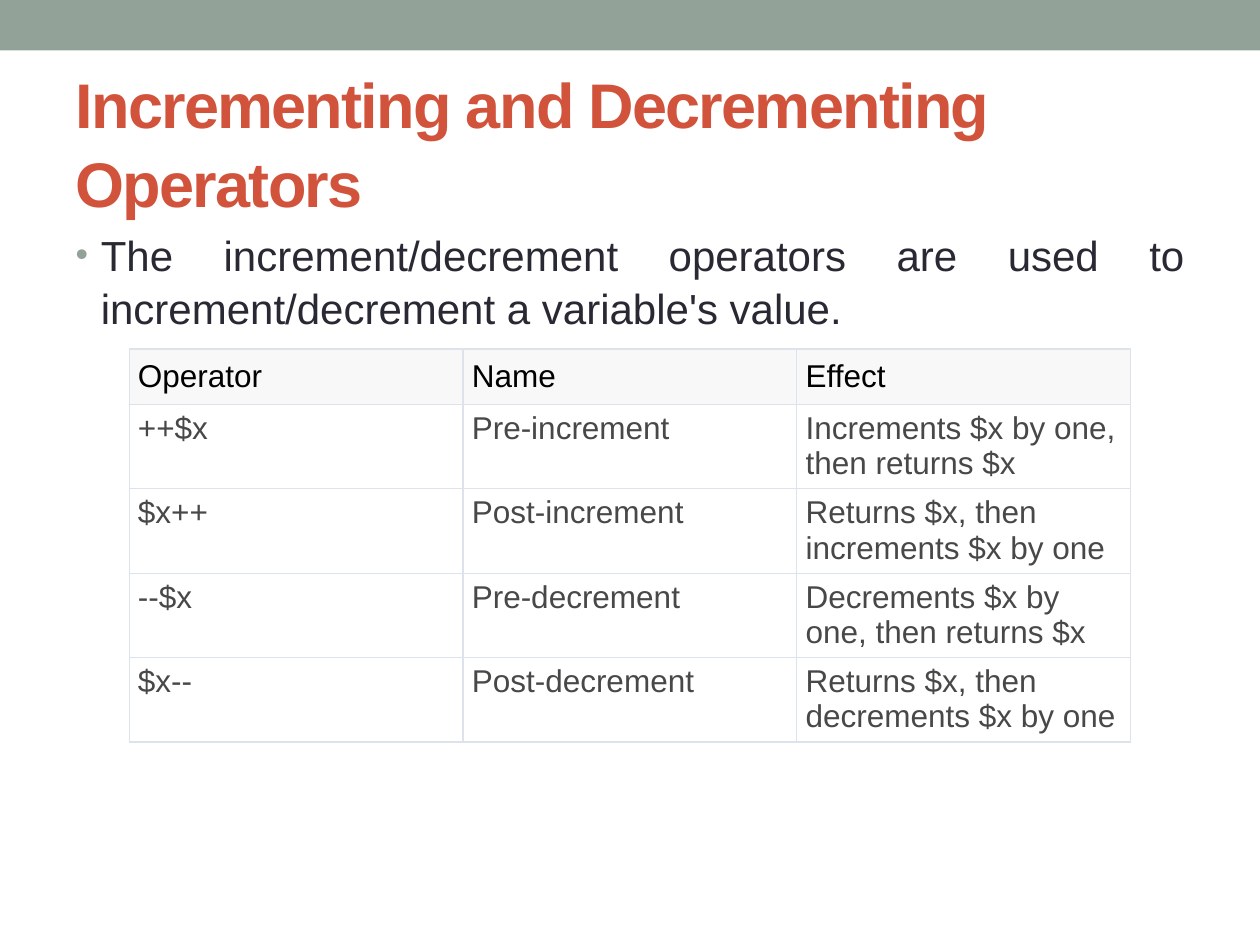
import pptx
import pptx.util
import pptx.dml.color
import pptx.enum.shapes
import pptx.enum.text
import pptx.oxml.ns
import lxml.etree

HEADING = "Incrementing and Decrementing Operators"
SUMMARY = "The increment/decrement operators are used to increment/decrement a variable's value."
OPERATORS = [
    ("Operator", "Name", "Effect"),
    ("++$x", "Pre-increment", "Increments $x by one, then returns $x"),
    ("$x++", "Post-increment", "Returns $x, then increments $x by one"),
    ("--$x", "Pre-decrement", "Decrements $x by one, then returns $x"),
    ("$x--", "Post-decrement", "Returns $x, then decrements $x by one"),
]
COLORS = {
    "band": "93A299", "heading": "D2533C", "summary": "292934",
    "header_text": "000000", "header_fill": "F8F8F8",
    "cell_text": "484848", "cell_fill": "FFFFFF", "border": "DCE3EB",
}
FONT = "Arial"
WIDTH, HEIGHT = 10, 7.5
MARGIN = WIDTH * 0.05
COLUMN_WIDTH = 2.65
HEADER_HEIGHT, ROW_HEIGHT = 0.44, 0.67
LINE_SPACING = 1.05

inches = pptx.util.Inches


def rgb(name):
    return pptx.dml.color.RGBColor.from_string(COLORS[name])


def place(part, left, top, width, height):
    part.left, part.top = inches(left), inches(top)
    part.width, part.height = inches(width), inches(height)


def style(paragraph, size, color, bold=False):
    font = paragraph.font
    font.name, font.size, font.bold = FONT, pptx.util.Pt(size), bold
    font.color.rgb = rgb(color)


def add_child(parent, tag, **attributes):
    child = lxml.etree.SubElement(parent, pptx.oxml.ns.qn(tag))
    for key, value in attributes.items():
        child.set(key, str(value))
    return child


def add_bullet(paragraph):
    properties = paragraph._p.get_or_add_pPr()
    properties.set("marL", str(inches(0.2)))
    properties.set("indent", str(-inches(0.2)))
    add_child(add_child(properties, "a:buClr"), "a:srgbClr", val=COLORS["band"])
    add_child(properties, "a:buSzPct", val=85000)
    add_child(properties, "a:buFont", typeface=FONT)
    add_child(properties, "a:buChar", char="•")


def add_borders(cell):
    properties = cell._tc.get_or_add_tcPr()
    for side in ("a:lnL", "a:lnR", "a:lnT", "a:lnB"):
        line = add_child(properties, side, w=pptx.util.Pt(0.75))
        add_child(add_child(line, "a:solidFill"), "a:srgbClr", val=COLORS["border"])


def fill_cell(cell, text, role, vertical_inset):
    cell.text = text
    style(cell.text_frame.paragraphs[0], 18, f"{role}_text")
    cell.margin_left = cell.margin_right = inches(0.07)
    cell.margin_top = cell.margin_bottom = inches(vertical_inset)
    add_borders(cell)
    cell.fill.solid()
    cell.fill.fore_color.rgb = rgb(f"{role}_fill")


def fill_placeholder(placeholder, text, box):
    place(placeholder, *box)
    frame = placeholder.text_frame
    frame.text = text
    frame.auto_size = pptx.enum.text.MSO_AUTO_SIZE.NONE
    paragraph = frame.paragraphs[0]
    paragraph.line_spacing = LINE_SPACING
    return paragraph


def main():
    deck = pptx.Presentation()
    deck.slide_width, deck.slide_height = inches(WIDTH), inches(HEIGHT)
    slide = deck.slides.add_slide(deck.slide_layouts[1])
    content_width = WIDTH - 2 * MARGIN

    band = slide.shapes.add_shape(
        pptx.enum.shapes.MSO_SHAPE.RECTANGLE, 0, 0, inches(WIDTH), inches(0.4))
    band.shadow.inherit = False
    band.fill.solid()
    band.fill.fore_color.rgb = rgb("band")
    band.line.fill.background()

    heading = fill_placeholder(
        slide.shapes.title, HEADING, (MARGIN, 0.58, content_width, 1.08))
    heading.alignment = pptx.enum.text.PP_ALIGN.LEFT
    style(heading, 36, "heading", bold=True)
    heading.runs[0]._r.get_or_add_rPr().set("spc", "-100")

    summary = fill_placeholder(
        slide.placeholders[1], SUMMARY, (MARGIN, 1.75, content_width, 5.33))
    summary.alignment = pptx.enum.text.PP_ALIGN.JUSTIFY
    add_bullet(summary)
    style(summary, 24, "summary")

    heights = [HEADER_HEIGHT] + [ROW_HEIGHT] * (len(OPERATORS) - 1)
    table_width = COLUMN_WIDTH * len(OPERATORS[0])
    table = slide.shapes.add_table(
        len(OPERATORS), len(OPERATORS[0]), inches((WIDTH - table_width) / 2),
        inches(2.77), inches(table_width), inches(sum(heights))).table
    table.first_row = table.horz_banding = False
    for row, (height, texts) in enumerate(zip(heights, OPERATORS)):
        table.rows[row].height = inches(height)
        role, inset = ("cell", 0.05) if row else ("header", 0.08)
        for column, text in enumerate(texts):
            fill_cell(table.cell(row, column), text, role, inset)

    deck.save("out.pptx")


if __name__ == "__main__":
    main()
